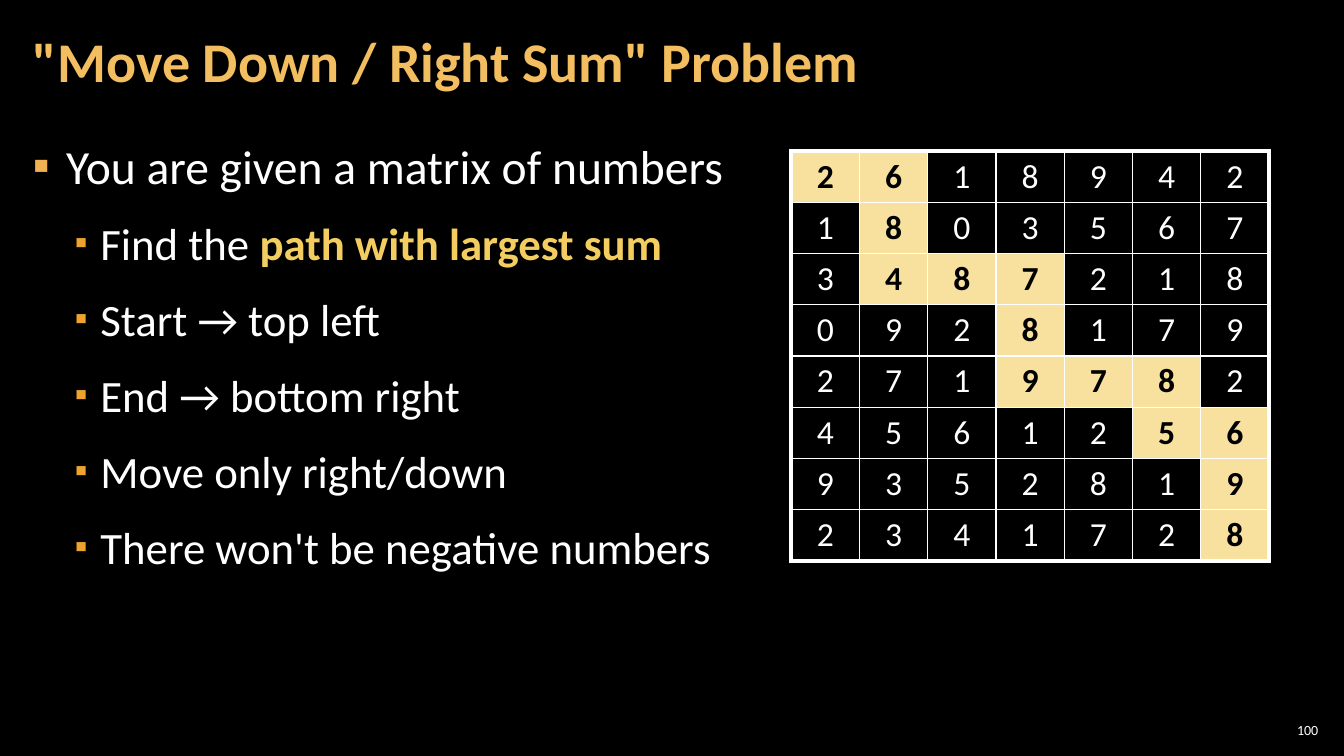
"""Build the slide on the largest-sum path through a matrix of numbers."""
from lxml.etree import SubElement as Sub
from pptx import Presentation
from pptx.dml.color import RGBColor
from pptx.enum.text import MSO_ANCHOR as Anchor, PP_ALIGN as Align
from pptx.oxml.ns import qn
from pptx.util import Cm, Pt

WHITE, BLACK, GOLD = "FFFFFF", "000000", "F8E19F"


def style(font, size, color, bold=False):
    font.name, font.size, font.bold = "Calibri", Pt(size), bold
    font.color.rgb = RGBColor.from_string(color)


def add_box(left, top, width, height, side, anchor):
    frame = slide.shapes.add_textbox(Cm(left), Cm(top), Cm(width), Cm(height)).text_frame
    frame.word_wrap = True
    frame.vertical_anchor = anchor
    frame.margin_left = frame.margin_right = Cm(side)
    frame.margin_top = frame.margin_bottom = Cm(0.1)
    return frame


deck = Presentation()
deck.slide_width, deck.slide_height = Cm(33.87), Cm(19.05)
slide = deck.slides.add_slide(deck.slide_layouts[6])
back = slide.background.fill
back.solid()
back.fore_color.rgb = RGBColor.from_string(BLACK)

number = add_box(32.13, 18.14, 1.19, 0.53, 0.1, Anchor.MIDDLE).paragraphs[0]
number.text = "100"
number.alignment = Align.RIGHT
style(number.font, 10, WHITE)

points = [
    ["You are given a matrix of numbers"],
    ["Find the ", "path with largest sum"],
    ["Start → top left"],
    ["End → bottom right"],
    ["Move only right/down"],
    ["There won't be negative numbers"],
]
body = add_box(0.53, 3.2, 32.79, 15.47, 0.3, Anchor.TOP)
for i, parts in enumerate(points):
    para = body.paragraphs[0] if i == 0 else body.add_paragraph()
    left, hang, size, color, scale = (
        (1.7, 0.64, 32, "F0A22E", 80) if i else (0.84, 0.84, 34, "F2B254", 100))
    para.level = 1 if i else 0
    props = para._p.get_or_add_pPr()
    props.set("marL", str(Cm(left)))
    props.set("indent", str(-Cm(hang)))
    Sub(Sub(props, qn("a:buClr")), qn("a:srgbClr"), val=color)
    Sub(props, qn("a:buSzPct"), val=str(scale * 1000))
    Sub(props, qn("a:buFont"), typeface="Calibri")
    Sub(props, qn("a:buChar"), char="▪")
    para.line_spacing = 1.1
    para.space_before, para.space_after = Pt(6 if i else 0), Pt(6)
    style(para.font, size, WHITE)
    for j, part in enumerate(parts):
        run = para.add_run()
        run.text = part
        if j:
            style(run.font, size, "F3CD60", True)

title = add_box(0.53, 0.1, 26.59, 3.07, 0.3, Anchor.MIDDLE).paragraphs[0]
title.text = '"Move Down / Right Sum" Problem'
title.line_spacing = 0.9
style(title.font, 40, "F3BE60", True)

matrix = ["2618942", "1803567", "3487218", "0928179",
          "2719782", "4561256", "9352819", "2341728"]
rows, cols = len(matrix), len(matrix[0])
row = col = 0
route = {(row, col)}
for move in "RDDRRDDRRDRDD":
    row, col = row + (move == "D"), col + (move == "R")
    route.add((row, col))

grid = slide.shapes.add_table(
    rows, cols, Cm(19.94), Cm(3.81), Cm(1.72 * cols), Cm(1.29 * rows)).table
grid.first_row = grid.horz_banding = False
for width in grid.columns:
    width.width = Cm(1.72)
for height in grid.rows:
    height.height = Cm(1.29)
for r, digits in enumerate(matrix):
    for c, digit in enumerate(digits):
        cell = grid.cell(r, c)
        props = cell._tc.get_or_add_tcPr()
        edges = {"L": c == 0, "R": c == cols - 1, "T": r == 0, "B": r == rows - 1}
        for side, outer in edges.items():
            line = Sub(props, qn("a:ln" + side), w=str(Pt(3 if outer else 1)))
            Sub(Sub(line, qn("a:solidFill")), qn("a:srgbClr"), val=WHITE)
        chosen = (r, c) in route
        if chosen:
            cell.fill.solid()
            cell.fill.fore_color.rgb = RGBColor.from_string(GOLD)
        else:
            cell.fill.background()
        para = cell.text_frame.paragraphs[0]
        para.text = digit
        para.alignment = Align.CENTER
        style(para.font, 24, BLACK if chosen else WHITE, chosen)

deck.save("out.pptx")
